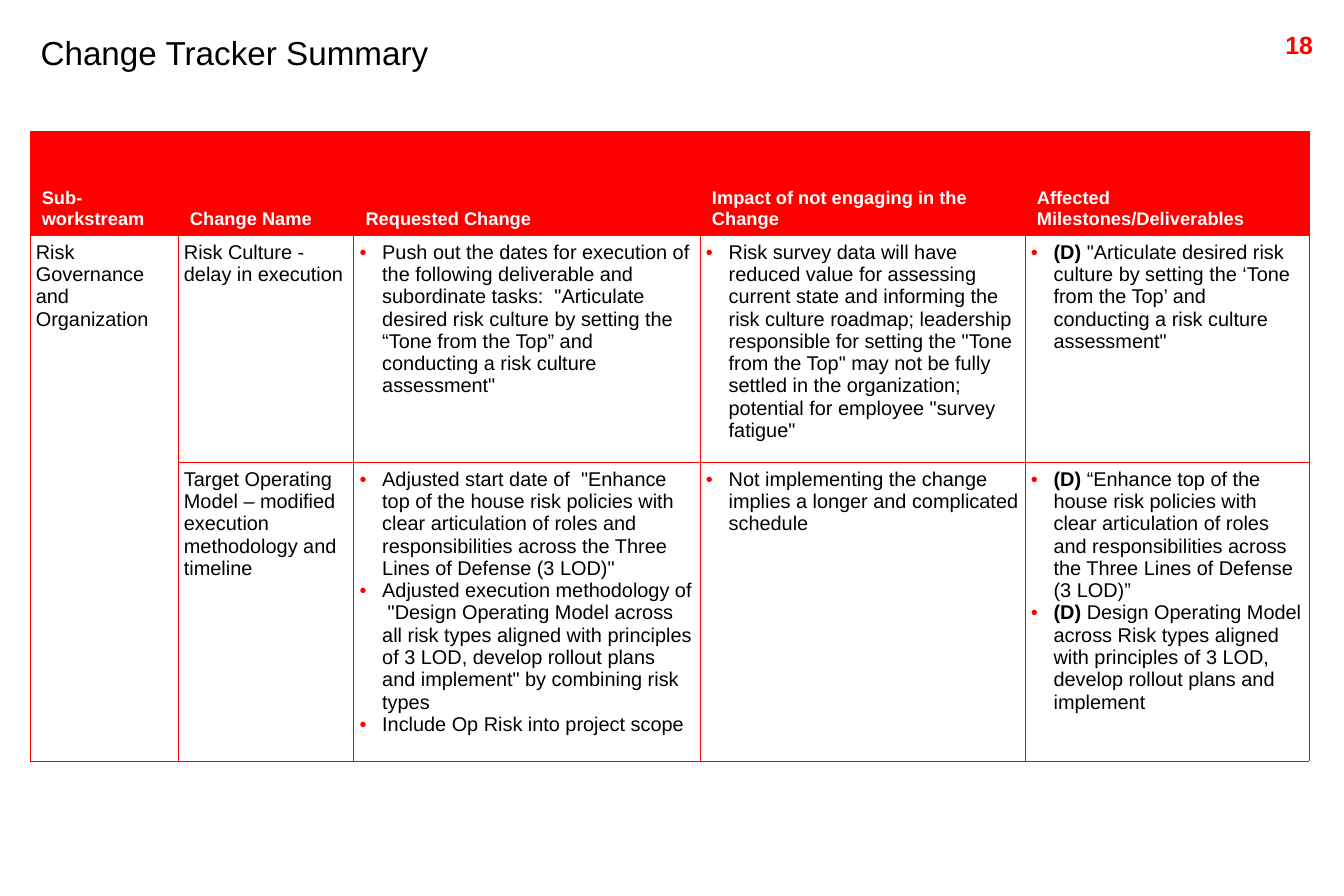
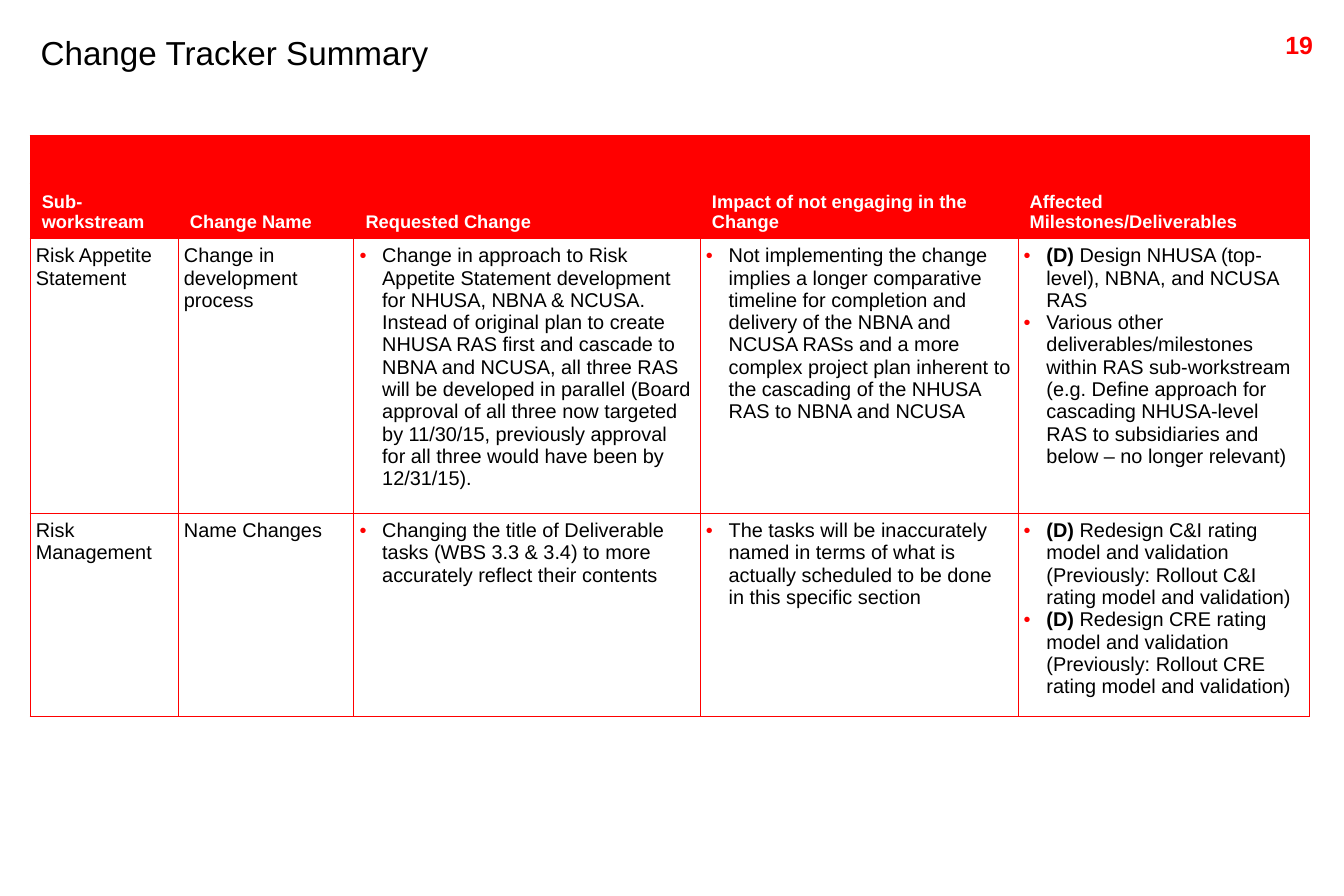
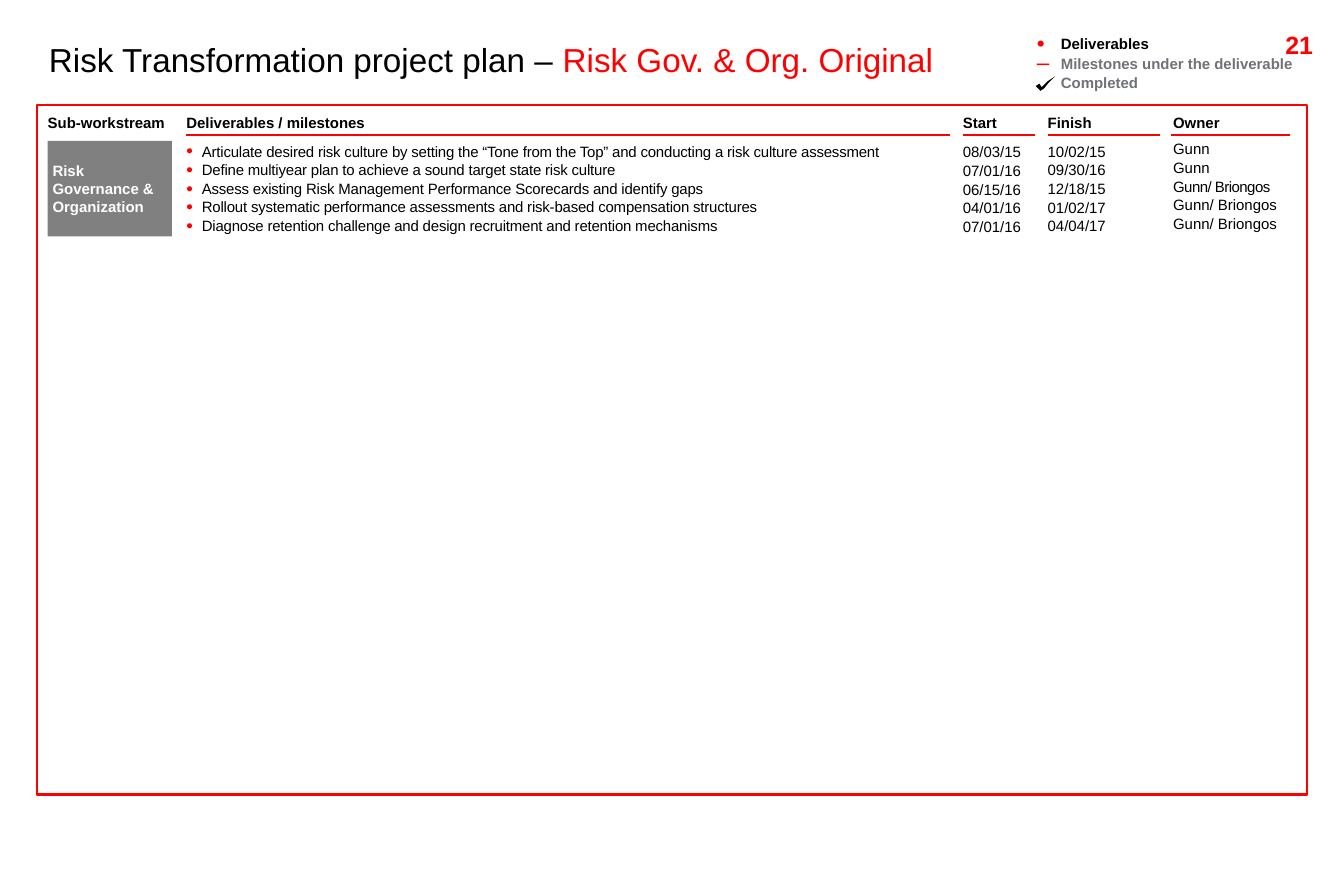
import pptx
import pptx.dml.color
import pptx.enum.shapes
import pptx.enum.text
import pptx.oxml
import pptx.oxml.ns
import pptx.util
from pptx.util import Inches

FONT = "Arial"
RED, BLACK, WHITE = "FF0000", "000000", "FFFFFF"
GREY, LEGEND_GREY = "808080", "707277"
TOP = pptx.enum.text.MSO_ANCHOR.TOP
MIDDLE = pptx.enum.text.MSO_ANCHOR.MIDDLE
BOTTOM = pptx.enum.text.MSO_ANCHOR.BOTTOM
RECTANGLE = pptx.enum.shapes.MSO_SHAPE.RECTANGLE
STRAIGHT = pptx.enum.shapes.MSO_CONNECTOR.STRAIGHT

HEADERS = ("Sub-workstream", "Change Name", "Requested Change",
           "Impact of not engaging in the Change", "Affected Milestones/Deliverables")

# Each body cell is a list of paragraphs; the last three columns are bulleted.
GOVERNANCE_CHANGES = [
    [["Risk Governance and Organization"],
     ["Risk Culture - delay in execution"],
     ['Push out the dates for execution of the following deliverable and subordinate tasks:  '
      '"Articulate desired risk culture by setting the “Tone from the Top” and conducting '
      'a risk culture assessment"'],
     ['Risk survey data will have reduced value for assessing current state and informing the '
      'risk culture roadmap; leadership responsible for setting the "Tone from the Top" may not '
      'be fully settled in the organization; potential for employee "survey fatigue"'],
     ['(D) "Articulate desired risk culture by setting the ‘Tone from the Top’ and conducting '
      'a risk culture assessment"']],
    [None,
     ["Target Operating Model – modified execution methodology and timeline"],
     ['Adjusted start date of  "Enhance top of the house risk policies with clear articulation '
      'of roles and responsibilities across the Three Lines of Defense (3 LOD)"',
      'Adjusted execution methodology of  "Design Operating Model across all risk types aligned '
      'with principles of 3 LOD, develop rollout plans and implement" by combining risk types',
      "Include Op Risk into project scope"],
     ["Not implementing the change implies a longer and complicated schedule"],
     ["(D) “Enhance top of the house risk policies with clear articulation of roles and "
      "responsibilities across the Three Lines of Defense (3 LOD)”",
      "(D) Design Operating Model across Risk types aligned with principles of 3 LOD, "
      "develop rollout plans and implement"]],
]

APPETITE_CHANGES = [
    [["Risk Appetite Statement"],
     ["Change in development process"],
     ["Change in approach to Risk Appetite Statement development for NHUSA, NBNA & NCUSA. "
      "Instead of original plan to create NHUSA RAS first and cascade to NBNA and NCUSA, all "
      "three RAS will be developed in parallel (Board approval of all three now targeted by "
      "11/30/15, previously approval for all three would have been by 12/31/15)."],
     ["Not implementing the change implies a longer comparative timeline for completion and "
      "delivery of the NBNA and NCUSA RASs and a more complex project plan inherent to the "
      "cascading of the NHUSA RAS to NBNA and NCUSA"],
     ["(D) Design NHUSA (top-level), NBNA, and NCUSA RAS",
      "Various other deliverables/milestones within RAS sub-workstream (e.g. Define approach "
      "for cascading NHUSA-level RAS to subsidiaries and below – no longer relevant)"]],
    [["Risk Management"],
     ["Name Changes"],
     ["Changing the title of Deliverable tasks (WBS 3.3 & 3.4) to more accurately reflect "
      "their contents"],
     ["The tasks will be inaccurately named in terms of what is actually scheduled to be done "
      "in this specific section"],
     ["(D) Redesign C&I rating model and validation (Previously: Rollout C&I rating model "
      "and validation)",
      "(D) Redesign CRE rating model and validation (Previously: Rollout CRE rating model "
      "and validation)"]],
]

# Heading, left, rule left, rule width, single-spaced paragraphs, list top, paragraphs
PLAN_COLUMNS = [
    ("Deliverables / milestones", 1.25, 1.25, 6.39, 1, 0.31,
     ["Articulate desired risk culture by setting the “Tone from the Top” and conducting "
      "a risk culture assessment",
      "Define multiyear plan to achieve a sound target state risk culture",
      "Assess existing Risk Management Performance Scorecards and identify gaps",
      "Rollout systematic performance assessments and risk-based compensation structures",
      "Diagnose retention challenge and design recruitment and retention mechanisms"]),
    ("Start", 7.75, 7.75, 0.6, 2, 0.31,
     ["08/03/15", "07/01/16", "06/15/16", "04/01/16", "07/01/16"]),
    ("Finish", 8.46, 8.46, 0.94, 2, 0.31,
     ["10/02/15\v09/30/16", "12/18/15", "01/02/17", "04/04/17"]),
    ("Owner", 9.51, 9.49, 1, 0, 0.3,
     ["Gunn", "Gunn", "Gunn/ Briongos", "Gunn/ Briongos", "Gunn/ Briongos"]),
]


def color(hex_string):
    return pptx.dml.color.RGBColor.from_string(hex_string)


def format_paragraph(paragraph, size, hex_string, bold=False):
    for run in paragraph.runs:
        run.font.name = FONT
        run.font.size = pptx.util.Pt(size)
        run.font.bold = bold
        run.font.color.rgb = color(hex_string)


def add_bullet(paragraph, indent, character="•", percent=100):
    properties = paragraph._p.get_or_add_pPr()
    properties.set("marL", str(Inches(indent)))
    properties.set("indent", str(-Inches(indent)))
    namespace = pptx.oxml.ns.nsdecls("a")
    for xml in (f'<a:buClr {namespace}><a:srgbClr val="{RED}"/></a:buClr>',
                f'<a:buSzPct {namespace} val="{percent * 1000}"/>',
                f'<a:buFont {namespace} typeface="{FONT}"/>',
                f'<a:buChar {namespace} char="{character}"/>'):
        properties.append(pptx.oxml.parse_xml(xml))


def set_tracking(paragraph, points):
    for run in paragraph.runs:
        run._r.get_or_add_rPr().set("spc", str(round(points * 100)))


def add_text(slide, box, lines, size, hex_string=BLACK, bold=False, anchor=TOP, wrap=True):
    """Add a text box without insets, one paragraph a line, and return its paragraphs."""
    frame = slide.shapes.add_textbox(*map(Inches, box)).text_frame
    frame.margin_left = frame.margin_right = frame.margin_top = frame.margin_bottom = 0
    frame.word_wrap = wrap
    frame.vertical_anchor = anchor
    frame.text = "\n".join(lines)
    for paragraph in frame.paragraphs:
        format_paragraph(paragraph, size, hex_string, bold)
    return frame.paragraphs


def add_rectangle(slide, box, fill, line=None, line_width=1.5):
    shape = slide.shapes.add_shape(RECTANGLE, *map(Inches, box))
    shape.shadow.inherit = False
    shape.fill.solid()
    shape.fill.fore_color.rgb = color(fill)
    if line:
        shape.line.color.rgb = color(line)
        shape.line.width = pptx.util.Pt(line_width)
    else:
        shape.line.fill.background()
    return shape


def add_rule(slide, left, top, width):
    connector = slide.shapes.add_connector(
        STRAIGHT, Inches(left), Inches(top), Inches(left + width), Inches(top))
    connector.line.color.rgb = color(RED)
    connector.line.width = pptx.util.Pt(1)
    connector._element.spPr.append(
        pptx.oxml.parse_xml(f'<a:effectLst {pptx.oxml.ns.nsdecls("a")}/>'))


def add_titled_slide(presentation, number, title, left, top, accent=""):
    """Add a blank slide with its page number and a title ending in a red accent."""
    slide = presentation.slides.add_slide(presentation.slide_layouts[6])
    add_text(slide, (10.76, 0.25, 0.26, 0.25), [str(number)], 15, RED, True, MIDDLE, False)
    paragraph = add_text(slide, (left, top, 10.2, 0.35), [title], 20)[0]
    if accent:
        paragraph.add_run().text = accent
        format_paragraph(paragraph, 20, BLACK)
        paragraph.runs[-1].font.color.rgb = color(RED)
    return slide


def style_cell(cell, fill=None):
    properties = cell._tc.get_or_add_tcPr()
    for side in ("lnL", "lnR", "lnT", "lnB"):
        properties.append(pptx.oxml.parse_xml(
            f'<a:{side} {pptx.oxml.ns.nsdecls("a")} w="3175"><a:solidFill>'
            f'<a:srgbClr val="{RED}"/></a:solidFill></a:{side}>'))
    if fill:
        cell.fill.solid()
        cell.fill.fore_color.rgb = color(fill)
    else:
        cell.fill.background()


def fill_body_cell(cell, lines, bulleted):
    """Write the paragraphs of a body cell, with a leading (D) in bold."""
    cell.margin_left = cell.margin_right = cell.margin_top = cell.margin_bottom = Inches(0.05)
    cell.text_frame.text = "\n".join(lines)
    for paragraph, line in zip(cell.text_frame.paragraphs, lines):
        marked = line.startswith("(D)")
        if marked:
            paragraph.text = "(D)"
            paragraph.add_run().text = line[3:]
        format_paragraph(paragraph, 12, BLACK)
        paragraph.runs[0].font.bold = marked
        if bulleted:
            add_bullet(paragraph, 0.19)


def add_change_table(slide, top, widths, body_heights, changes):
    heights = [0.4, 0.43] + body_heights
    table = slide.shapes.add_table(
        len(heights), len(widths), Inches(0.25), Inches(top),
        Inches(sum(widths)), Inches(sum(heights))).table
    table.first_row = table.horz_banding = False
    for column, width in zip(table.columns, widths):
        column.width = Inches(width)
    for row, height in zip(table.rows, heights):
        row.height = Inches(height)
    for row_index in range(len(heights)):
        for column_index in range(len(widths)):
            style_cell(table.cell(row_index, column_index), RED if row_index < 2 else None)
    table.cell(0, 1).merge(table.cell(0, len(widths) - 1))
    for column_index, header in enumerate(HEADERS):
        cell = table.cell(1, column_index)
        cell.vertical_anchor = BOTTOM
        cell.text_frame.text = header
        format_paragraph(cell.text_frame.paragraphs[0], 11, WHITE, True)
    for row_index, change in enumerate(changes, 2):
        for column_index, lines in enumerate(change):
            if lines is None:
                table.cell(row_index - 1, column_index).merge(table.cell(row_index, column_index))
            else:
                fill_body_cell(table.cell(row_index, column_index), lines, column_index > 1)


def add_check_mark(slide, left, top):
    """Draw a tick from points given in hundredths of an inch."""
    points = [(0, 8), (3, 6.5), (5, 9), (10, 4), (16, 0), (11, 5), (7, 10), (4, 12)]
    builder = slide.shapes.build_freeform(*points[0], scale=Inches(0.01))
    builder.add_line_segments(points[1:])
    shape = builder.convert_to_shape(Inches(left), Inches(top))
    shape.shadow.inherit = False
    shape.fill.solid()
    shape.fill.fore_color.rgb = color(BLACK)
    shape.line.fill.background()


def add_legend(slide, left, top):
    paragraphs = add_text(
        slide, (left, top, 2.35, 0.44),
        ["Deliverables", "Milestones under the deliverable", "Completed"], 9, LEGEND_GREY, True)
    for paragraph in paragraphs:
        paragraph.space_after = pptx.util.Pt(1)
    format_paragraph(paragraphs[0], 9, BLACK, True)
    add_bullet(paragraphs[0], 0.2, "•", 150)
    add_bullet(paragraphs[1], 0.2, "–", 150)
    paragraphs[2]._p.get_or_add_pPr().set("marL", str(Inches(0.2)))
    add_check_mark(slide, left - 0.01, top + 0.35)


def add_heading(slide, left, top, width, text):
    add_text(slide, (left, top, width, 0.15), [text], 9, BLACK, True)


def add_plan_column(slide, left, top, column):
    """Add a heading, its rule and its list; return the list's paragraphs."""
    heading, offset, rule_offset, width, single_spaced, list_offset, lines = column
    add_heading(slide, left + offset, top + 0.07, width, heading)
    add_rule(slide, left + rule_offset, top + 0.25, width)
    paragraphs = add_text(slide, (left + offset, top + list_offset, width, 0.79), lines, 9)
    for index, paragraph in enumerate(paragraphs):
        paragraph.space_after = pptx.util.Pt(1)
        if index >= single_spaced:
            paragraph.line_spacing = 0.95
    return paragraphs


def add_plan(slide, left, top, width, height):
    add_rectangle(slide, (left, top, width, height), WHITE, RED)
    add_heading(slide, left + 0.09, top + 0.07, 1.04, "Sub-workstream")
    label = add_rectangle(slide, (left + 0.09, top + 0.3, 1.04, 0.8), GREY)
    frame = label.text_frame
    frame.margin_left = frame.margin_right = frame.margin_top = frame.margin_bottom = Inches(0.04)
    frame.word_wrap = True
    frame.vertical_anchor = MIDDLE
    frame.text = "Risk Governance & Organization"
    frame.paragraphs[0].alignment = pptx.enum.text.PP_ALIGN.LEFT
    format_paragraph(frame.paragraphs[0], 9, WHITE, True)

    deliverables, _, _, owners = [
        add_plan_column(slide, left, top, column) for column in PLAN_COLUMNS]
    for paragraph in deliverables:
        add_bullet(paragraph, 0.13, percent=125)
        set_tracking(paragraph, -0.1)
    set_tracking(owners[2], -0.3)


def main():
    presentation = pptx.Presentation()
    presentation.slide_width = Inches(11.25)
    presentation.slide_height = Inches(7.5)

    for number, top, widths, heights, changes in (
            (18, 1.1, [1.24, 1.47, 2.9, 2.72, 2.38], [1.9, 2.5], GOVERNANCE_CHANGES),
            (19, 1.13, [1.24, 1.47, 2.9, 2.66, 2.44], [2.3, 1.7], APPETITE_CHANGES)):
        slide = add_titled_slide(presentation, number, "Change Tracker Summary", 0.34, 0.27)
        add_change_table(slide, top, widths, heights, changes)

    slide = add_titled_slide(presentation, 21, "Risk Transformation project plan – ",
                             0.41, 0.33, "Risk Gov. & Org. Original")
    add_legend(slide, 8.68, 0.29)
    add_plan(slide, 0.31, 0.88, 10.63, 5.77)
    presentation.save("out.pptx")


if __name__ == "__main__":
    main()
